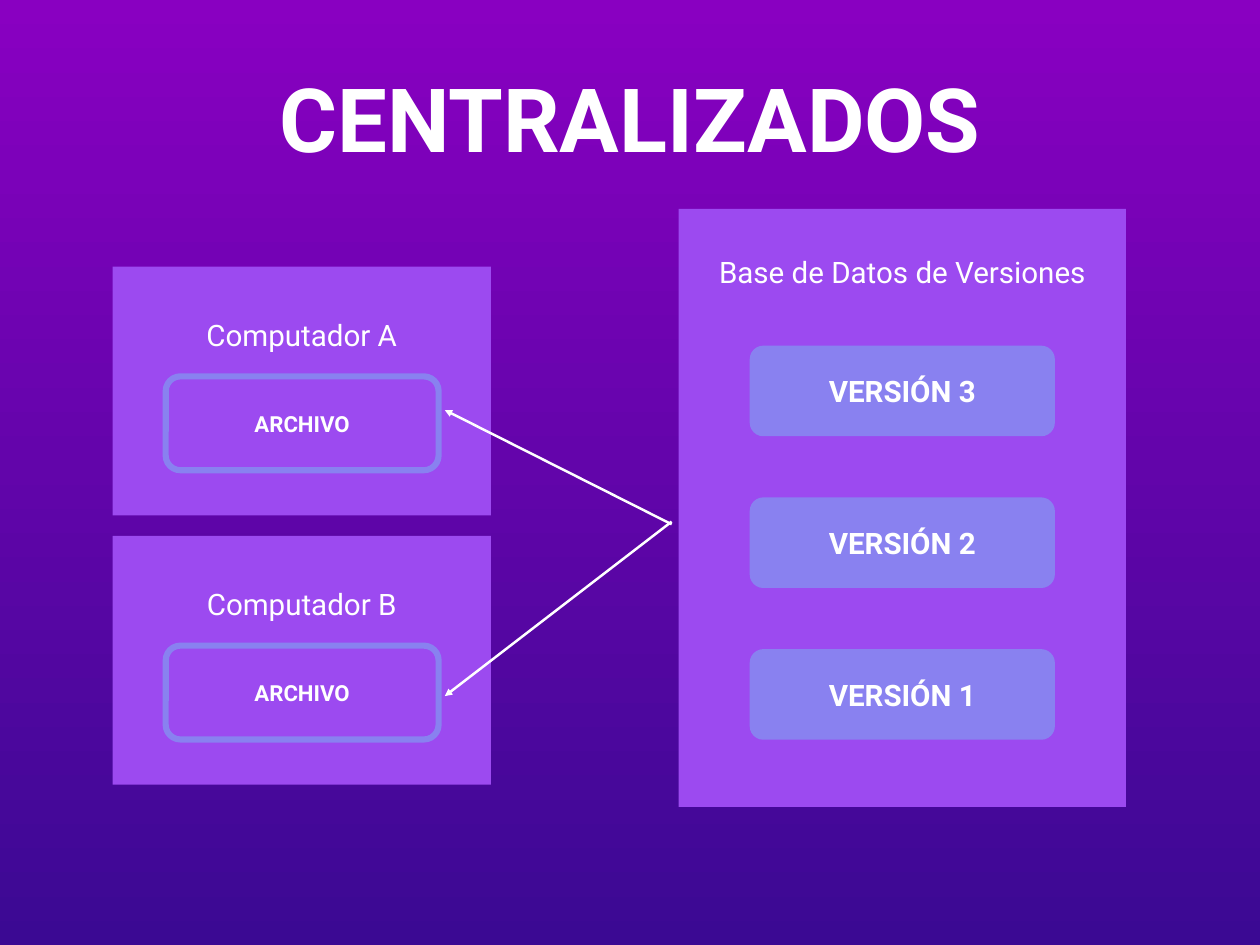
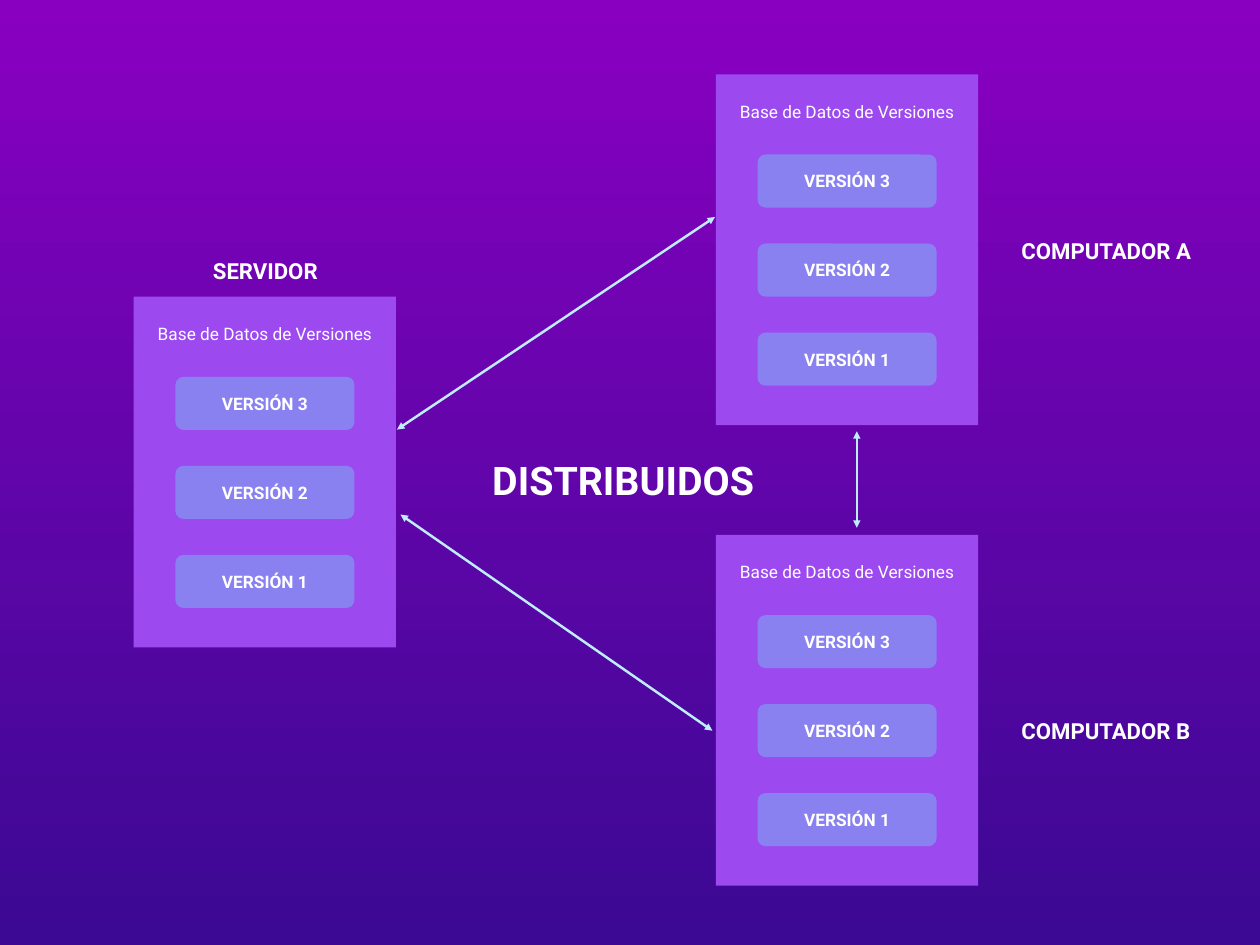
from lxml import etree
from pptx import Presentation
from pptx.dml.color import RGBColor
from pptx.enum.shapes import MSO_CONNECTOR, MSO_SHAPE
from pptx.enum.text import MSO_ANCHOR, MSO_AUTO_SIZE, PP_ALIGN
from pptx.oxml.ns import qn
from pptx.util import Inches, Pt

RECT = MSO_SHAPE.RECTANGLE
ROUNDED = MSO_SHAPE.ROUNDED_RECTANGLE
STRAIGHT = MSO_CONNECTOR.STRAIGHT
MIDDLE = MSO_ANCHOR.MIDDLE
GROW = MSO_AUTO_SIZE.SHAPE_TO_FIT_TEXT
FIXED = MSO_AUTO_SIZE.NONE
CENTER = PP_ALIGN.CENTER

FONT = "Roboto"
WHITE = "FFFFFF"
PANEL = "9C4AF0"
CARD = "8981F0"
ICE = "BEEDFF"
TOP_PURPLE = "8900C1"
BOTTOM_INDIGO = "3B0993"
color = RGBColor.from_string


def add_block(slide, preset, left, top, width, height, fill=None, outline=None, corner=0.15):
    block = slide.shapes.add_shape(preset, Inches(left), Inches(top), Inches(width), Inches(height))
    block.shadow.inherit = False
    if preset == ROUNDED:
        block.adjustments[0] = corner
    if fill:
        block.fill.solid()
        block.fill.fore_color.rgb = color(fill)
    else:
        block.fill.background()
    if outline:
        block.line.color.rgb = color(outline)
        block.line.width = Pt(5)
    else:
        block.line.fill.background()


def add_label(slide, text, left, top, width, height, size, bold=True, wrap=False):
    label = slide.shapes.add_textbox(Inches(left), Inches(top), Inches(width), Inches(height))
    frame = label.text_frame
    frame.text = text
    frame.word_wrap = wrap
    frame.auto_size = FIXED if wrap else GROW
    frame.vertical_anchor = MIDDLE
    frame.margin_left = frame.margin_right = Inches(0.06)
    frame.margin_top = frame.margin_bottom = Inches(0.06)
    paragraph = frame.paragraphs[0]
    paragraph.alignment = CENTER
    font = paragraph.runs[0].font
    font.name = FONT
    font.size = Pt(size)
    font.bold = bold
    font.color.rgb = color(WHITE)


prs = Presentation()
prs.slide_width = Inches(14.22)
prs.slide_height = Inches(10.67)

backdrop = prs.slide_master.background.fill
backdrop.gradient()
backdrop.gradient_angle = 270
for stop, shade in zip(backdrop.gradient_stops, (TOP_PURPLE, BOTTOM_INDIGO)):
    stop.color.rgb = color(shade)

blank = prs.slide_layouts[6]
centralized = prs.slides.add_slide(blank)
distributed = prs.slides.add_slide(blank)

add_label(centralized, "CENTRALIZADOS", 2.77, 0.67, 8.68, 1.31, 72)
for computer, top in (("Computador A", 3.01), ("Computador B", 6.05)):
    add_block(centralized, RECT, 1.27, top, 4.27, 2.81, fill=PANEL)
    add_block(centralized, ROUNDED, 1.87, top + 1.24, 3.08, 1.06, outline=CARD, corner=0.157)
    add_label(centralized, computer, 2.25, top + 0.51, 2.31, 0.51, 24, bold=False)
    add_label(centralized, "ARCHIVO", 2.77, top + 1.56, 1.28, 0.42, 18)

add_label(distributed, "DISTRIBUIDOS", 5.37, 5.09, 3.33, 0.65, 32)
for name, left, top, width in (
    ("SERVIDOR", 2.28, 2.84, 1.43),
    ("COMPUTADOR A", 11.4, 2.62, 2.17),
    ("COMPUTADOR B", 11.39, 8.04, 2.18),
):
    add_label(distributed, name, left, top, width, 0.42, 18)

databases = (
    (centralized, 7.66, 2.36, 1.705, 24, 4.35, 1.91, False),
    (distributed, 8.08, 0.84, 1, 14, 2.81, 1.25, True),
    (distributed, 1.51, 3.35, 1, 14, 2.81, 1.25, True),
    (distributed, 8.08, 6.04, 1, 14, 2.81, 1.25, True),
)
for slide, left, top, scale, size, heading_width, version_width, wrap in databases:
    middle = left + 1.48 * scale
    text_height = 0.3 * scale
    add_block(slide, RECT, left, top, 2.96 * scale, 3.96 * scale, fill=PANEL)
    add_label(slide, "Base de Datos de Versiones", middle - heading_width / 2, top + 0.265 * scale,
              heading_width, text_height, size, bold=False, wrap=wrap)
    for row, version in enumerate((3, 2, 1)):
        card_top = top + (0.905 + 1.005 * row) * scale
        add_block(slide, ROUNDED, middle - 1.01 * scale, card_top, 2.02 * scale, 0.6 * scale, fill=CARD)
        add_label(slide, f"VERSIÓN {version}", middle - version_width / 2, card_top + 0.15 * scale,
                  version_width, text_height, size, wrap=wrap)

ONE_WAY = ("a:tailEnd",)
TWO_WAY = ("a:headEnd", "a:tailEnd")
arrows = (
    (centralized, 7.58, 5.92, 5.02, 4.63, WHITE, ONE_WAY),
    (centralized, 7.58, 5.89, 5.02, 7.86, WHITE, ONE_WAY),
    (distributed, 4.48, 4.85, 8.07, 2.45, ICE, TWO_WAY),
    (distributed, 4.52, 5.81, 8.04, 8.25, ICE, TWO_WAY),
    (distributed, 9.67, 5.96, 9.67, 4.87, ICE, TWO_WAY),
)
for slide, x1, y1, x2, y2, shade, ends in arrows:
    arrow = slide.shapes.add_connector(STRAIGHT, Inches(x1), Inches(y1), Inches(x2), Inches(y2))
    arrow.line.color.rgb = color(shade)
    arrow.line.width = Pt(2)
    properties = arrow.element.spPr
    for end in ends:
        etree.SubElement(properties.find(qn("a:ln")), qn(end), type="triangle")
    etree.SubElement(properties, qn("a:effectLst"))

prs.save("out.pptx")
